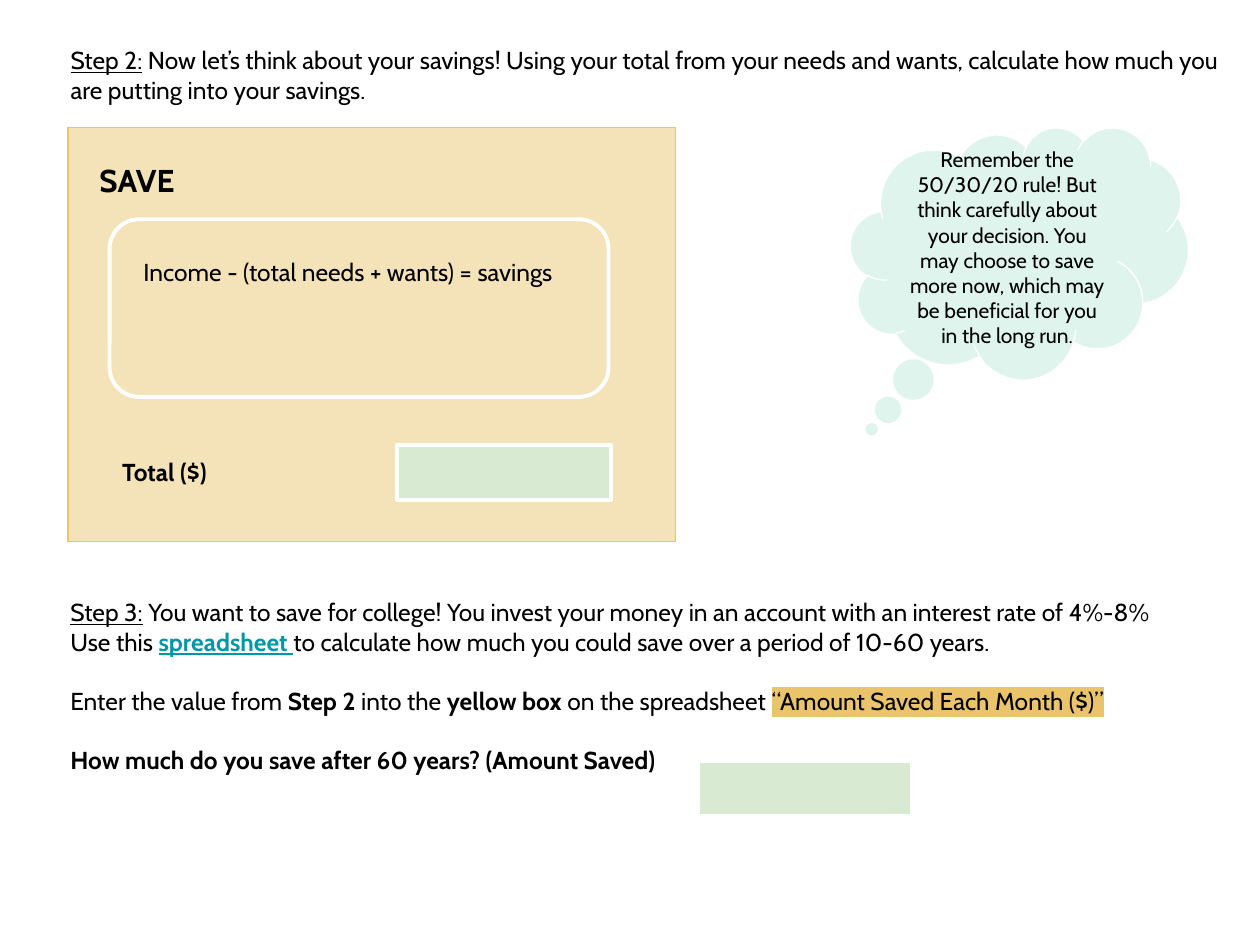
import pptx
import pptx.util
import pptx.dml.color
import pptx.enum.shapes
import pptx.enum.text
import pptx.oxml
import pptx.oxml.ns
from pptx.util import Inches

RGBColor = pptx.dml.color.RGBColor
KIND = pptx.enum.shapes.MSO_SHAPE
ALIGN = pptx.enum.text.PP_ALIGN
ANCHOR = pptx.enum.text.MSO_ANCHOR

BLACK = RGBColor(0, 0, 0)
WHITE = RGBColor(0xFF, 0xFF, 0xFF)
GOLD = RGBColor(0xE9, 0xC4, 0x6A)
GREEN = RGBColor(0xD9, 0xEA, 0xD3)
MINT = RGBColor(0xA9, 0xE1, 0xCF)
TEAL = RGBColor(0, 0x97, 0xA7)


def make(tag, **attrs):
    node = pptx.oxml.parse_xml(f"<a:{tag} {pptx.oxml.ns.nsdecls('a')}/>")
    for key, val in attrs.items():
        node.set(key, str(val))
    return node


def add_run(para, text, style=""):
    """Style letters: b bold, u underline, t teal, h highlight."""
    run = para.add_run()
    run.text = text
    if "b" in style:
        run.font.bold = True
    if "u" in style:
        run.font.underline = True
    if "t" in style:
        run.font.color.rgb = TEAL
    if "h" in style:
        mark = make("highlight")
        mark.append(make("srgbClr", val=GOLD))
        run._r.get_or_add_rPr().append(mark)


def write(shape, paras, size=14, align=ALIGN.LEFT, anchor=ANCHOR.TOP):
    """Each paragraph is (space before, runs)."""
    frame = shape.text_frame
    frame.word_wrap = True
    frame.auto_size = pptx.enum.text.MSO_AUTO_SIZE.NONE
    frame.vertical_anchor = anchor
    frame.margin_left = frame.margin_right = Inches(0.1)
    frame.margin_top = frame.margin_bottom = Inches(0.1)
    for i, (gap, runs) in enumerate(paras):
        para = frame.add_paragraph() if i else frame.paragraphs[0]
        para.alignment = align
        if gap:
            para.space_before = pptx.util.Pt(gap)
        font = para.font
        font.name, font.size = "Cabin", pptx.util.Pt(size)
        font.color.rgb = BLACK
        for run in runs:
            add_run(para, *run)


def place(shape, x, y, w, h):
    shape.left, shape.top = Inches(x), Inches(y)
    shape.width, shape.height = Inches(w), Inches(h)


def add_text(slide, box, paras, size=14):
    shape = slide.shapes.add_textbox(*map(Inches, box))
    write(shape, paras, size)


def add_box(slide, kind, box, fill, line, width, alpha=None):
    shape = slide.shapes.add_shape(kind, *map(Inches, box))
    shape.shadow.inherit = False
    if fill is None:
        shape.fill.background()
    else:
        shape.fill.solid()
        shape.fill.fore_color.rgb = fill
    if alpha:
        color = shape._element.spPr.find(".//" + pptx.oxml.ns.qn("a:srgbClr"))
        color.append(make("alpha", val=alpha * 1000))
    shape.line.color.rgb = line
    shape.line.width = pptx.util.Pt(width)
    return shape


def add_card(slide):
    add_box(slide, KIND.RECTANGLE, (0.54, 1.01, 4.82, 3.29), GOLD, GOLD, 0.75, 47)
    add_text(slide, (0.69, 1.18, 2.81, 0.5), [(0, [("SAVE", "b")])], 18)
    add_box(slide, KIND.ROUNDED_RECTANGLE, (0.87, 1.74, 3.96, 1.41), None, WHITE, 2.25)
    add_text(slide, (1.04, 1.94, 3.82, 0.44),
             [(0, [("Income - (total needs + wants) = savings",)])])
    add_text(slide, (0.87, 3.53, 2.81, 0.44), [(0, [("Total ($)", "b")])])


def add_cloud(slide):
    cloud = add_box(slide, KIND.CLOUD_CALLOUT, (6.75, 1.01, 2.68, 2), MINT, WHITE, 0.75, 36)
    cloud.adjustments[0], cloud.adjustments[1] = -0.437, 0.699
    tip = ("Remember the 50/30/20 rule! But think carefully about your decision. "
           "You may choose to save more now, which may be beneficial for you "
           "in the long run.")
    write(cloud, [(0, [(tip,)])], 12, ALIGN.CENTER, ANCHOR.MIDDLE)


def main():
    deck = pptx.Presentation()
    deck.slide_width, deck.slide_height = Inches(10), Inches(7.5)
    slide = deck.slides.add_slide(deck.slide_layouts[5])

    # Step 2 instruction
    title = slide.shapes.title
    place(title, 0.46, 0.26, 9.51, 0.67)
    write(title, [(0, [
        ("Step 2:", "u"),
        (" Now let’s think about your savings! Using your total from your needs "
         "and wants, calculate how much you are putting into your savings.",)])])

    # Savings card and tip
    add_card(slide)
    add_cloud(slide)

    # Step 3 instructions, one line apart
    add_text(slide, (0.46, 4.64, 8.91, 1.85), [
        (0, [("Step 3:", "u"),
             (" You want to save for college! You invest your money in an "
              "account with an interest rate of 4%-8%",)]),
        (0, [("Use this ",), ("spreadsheet ", "but"),
             ("to calculate how much you could save over a period of 10-60 years.",)]),
        (17, [("Enter the value from ",), ("Step 2", "b"), (" into the ",),
              ("yellow box ", "b"), ("on the spreadsheet ",),
              ("“Amount Saved Each Month ($)”", "h")]),
        (17, [("How much do you save after 60 years? (Amount Saved)", "b")]),
    ])

    # Answer boxes
    for x, y in ((3.15, 3.53), (5.54, 6.04)):
        add_box(slide, KIND.RECTANGLE, (x, y, 1.7, 0.44), GREEN, WHITE, 2.25)

    deck.save("out.pptx")


if __name__ == "__main__":
    main()
